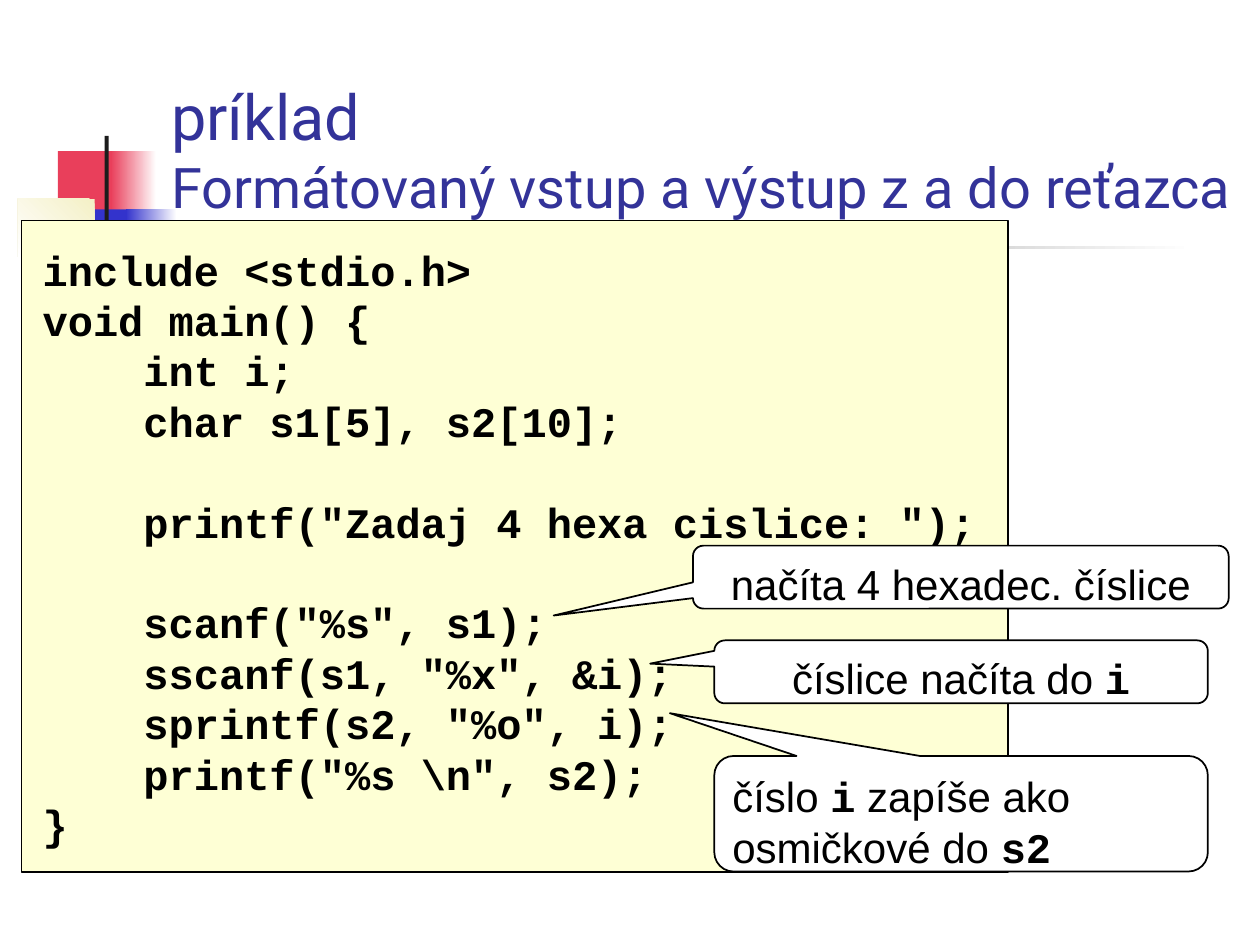
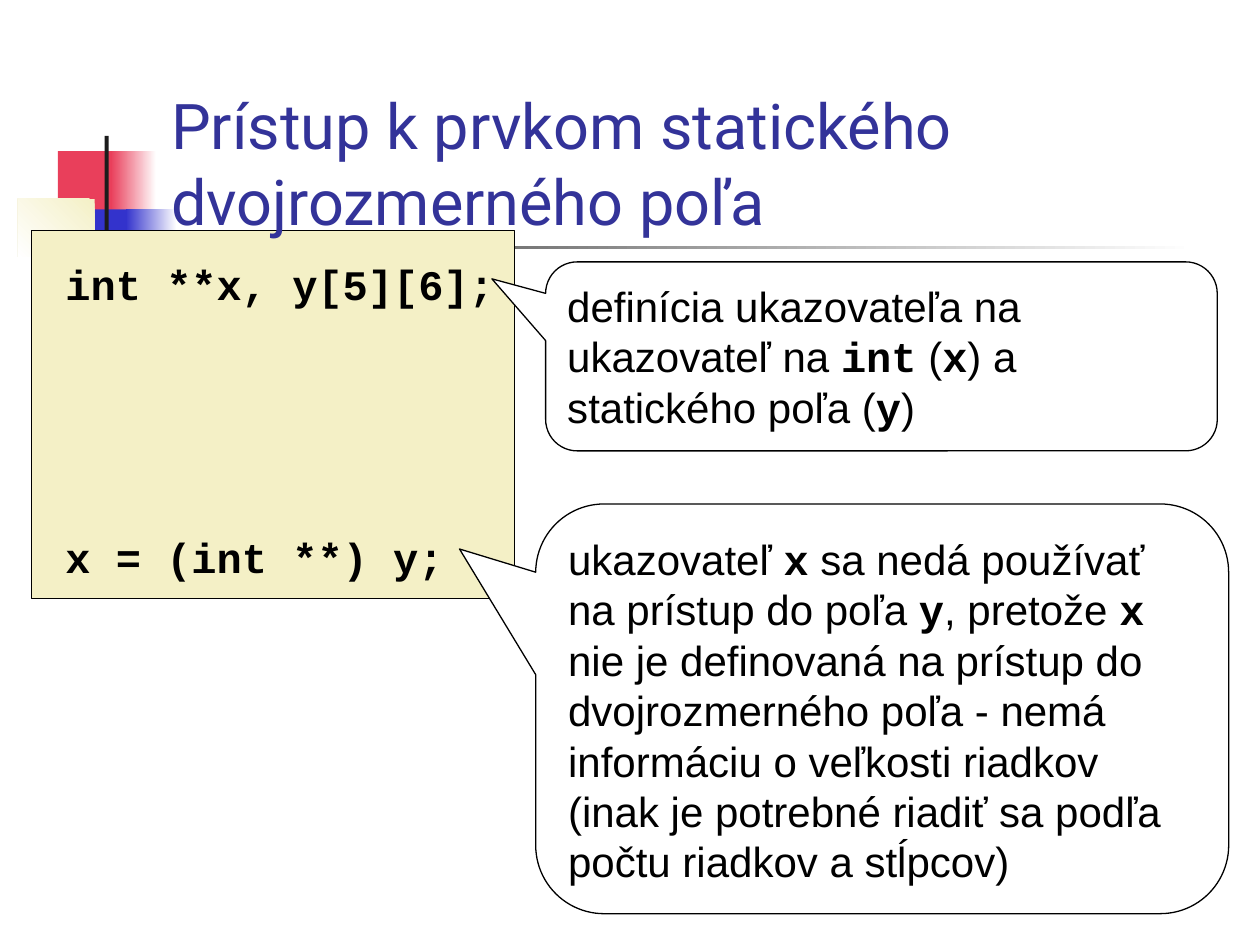
from collections import namedtuple

from pptx import Presentation
from pptx import util as u
from pptx.dml.color import RGBColor
from pptx.enum import shapes, text

Box = namedtuple("Box", "left top width height")

WHITE = RGBColor(0xFF, 0xFF, 0xFF)
BLACK = RGBColor(0x00, 0x00, 0x00)
RED = RGBColor(0xE9, 0x3F, 0x5B)
BLUE = RGBColor(0x33, 0x33, 0xCC)
CREAM = RGBColor(0xF4, 0xF0, 0xC6)
CHARCOAL = RGBColor(0x1C, 0x1C, 0x1C)
TITLE_BLUE = RGBColor(0x33, 0x33, 0x99)
PALE_YELLOW = RGBColor(0xFE, 0xFF, 0xD5)

TITLE_FONT, BODY_FONT, CODE_FONT = "Roboto", "Arial", "Courier New"
BODY_SIZE = 24
LEADING = 1.2  # line pitch as a multiple of the text size

# Master ornament: box, then the gradient from start to end at an angle
ORNAMENT = Box(0.36, 2.74, 23.72, 2.92)
ORNAMENT_PARTS = [
    (Box(0.81, 0.31, 1.22, 1.32), RED, RED, 0),
    (Box(1.88, 0.31, 0.91, 1.32), WHITE, RED, 180),
    (Box(1.14, 1.48, 1.17, 1.32), BLUE, BLUE, 0),
    (Box(2.18, 1.48, 1.02, 1.32), WHITE, BLUE, 180),
    (Box(0, 1.27, 1.55, 1.17), CREAM, WHITE, 225),
    (Box(1.75, 0, 0.08, 2.92), CHARCOAL, CHARCOAL, 0),
    (Box(0.86, 2.21, 22.86, 0.08), WHITE, CHARCOAL, 180),
]


def inside(outer, part):
    """Move a box given relative to outer onto the slide."""
    return Box(outer.left + part.left, outer.top + part.top, part.width, part.height)


def add_shape(slide, kind, box, fill, line_width=0):
    shape = slide.shapes.add_shape(kind, *map(u.Cm, box))
    shape.shadow.inherit = False
    shape.fill.solid()
    shape.fill.fore_color.rgb = fill
    if line_width:
        shape.line.color.rgb = BLACK
        shape.line.width = u.Pt(line_width)
    else:
        shape.line.fill.background()
    return shape


def set_frame(frame, top, bottom=0.13, wrap=True, anchor=text.MSO_ANCHOR.TOP):
    frame.word_wrap = wrap
    frame.vertical_anchor = anchor
    frame.margin_left = frame.margin_right = u.Cm(0.25)
    frame.margin_top, frame.margin_bottom = u.Cm(top), u.Cm(bottom)


def format_run(run, font, size, color=BLACK, bold=False):
    run.font.name = font
    run.font.size = u.Pt(size)
    run.font.color.rgb = color
    run.font.bold = bold


def add_ornament(slide, box):
    for part, start, end, angle in ORNAMENT_PARTS:
        piece = add_shape(slide, shapes.MSO_SHAPE.RECTANGLE, inside(box, part), start)
        if start != end:
            piece.fill.gradient()
            piece.fill.gradient_angle = angle
            for stop, color in zip(piece.fill.gradient_stops, (start, end)):
                stop.color.rgb = color


def add_title(slide, box, lines):
    """Write (wording, size) lines, resting on the bottom of the box."""
    frame = slide.shapes.add_textbox(*map(u.Cm, box)).text_frame
    set_frame(frame, 0.13, 0.08, anchor=text.MSO_ANCHOR.BOTTOM)
    frame.text = "\n".join(wording for wording, _ in lines)
    for paragraph, (_, size) in zip(frame.paragraphs, lines):
        paragraph.line_spacing = u.Pt(LEADING * size)
        format_run(paragraph.runs[0], TITLE_FONT, size, TITLE_BLUE)


def add_code(slide, box, blocks):
    """Write blocks of code lines, one empty line's height apart."""
    frame = slide.shapes.add_textbox(*map(u.Cm, box)).text_frame
    set_frame(frame, 0.27, wrap=False)
    frame.text = "\n".join(blocks)
    pitch = u.Pt(LEADING * BODY_SIZE)
    block_starts = set()
    line_count = 0
    for block in blocks:
        block_starts.add(line_count)
        line_count += len(block.split("\n"))
    for number, paragraph in enumerate(frame.paragraphs):
        paragraph.line_spacing = pitch
        if number and number in block_starts:
            paragraph.space_before = pitch
        format_run(paragraph.runs[0], CODE_FONT, BODY_SIZE, bold=True)


def add_code_panel(slide, box, fill, snippets):
    add_shape(slide, shapes.MSO_SHAPE.RECTANGLE, box, fill, 0.75)
    return [(inside(box, part), blocks) for part, blocks in snippets]


def add_callout(slide, box, tail, wording, line_width, centred=False):
    """Draw a speech bubble; words between backticks are set as code."""
    bubble = add_shape(slide, shapes.MSO_SHAPE.ROUNDED_RECTANGULAR_CALLOUT,
                       box, WHITE, line_width)
    for index, value in enumerate((*tail, 0.167)):
        bubble.adjustments[index] = value
    set_frame(bubble.text_frame, 0.19)
    paragraph = bubble.text_frame.paragraphs[0]
    paragraph.alignment = text.PP_ALIGN.CENTER if centred else text.PP_ALIGN.LEFT
    paragraph.line_spacing = u.Pt(LEADING * BODY_SIZE)
    for index, piece in enumerate(wording.split("`")):
        if piece:
            is_code = index % 2 == 1
            run = paragraph.add_run()
            run.text = piece
            format_run(run, CODE_FONT if is_code else BODY_FONT, BODY_SIZE, bold=is_code)


def new_slide(deck):
    slide = deck.slides.add_slide(deck.slide_layouts[6])
    add_ornament(slide, ORNAMENT)
    return slide


def build_string_io(deck):
    slide = new_slide(deck)
    add_title(slide, Box(3.2, 1.7, 22.2, 2.82),
              [("príklad", 36), ("Formátovaný vstup a výstup z a do reťazca", 32)])
    program = [
        "include <stdio.h>\n"
        "void main() {\n"
        "    int i;\n"
        "    char s1[5], s2[10];",
        '    printf("Zadaj 4 hexa cislice: ");',
        '    scanf("%s", s1);\n'
        '    sscanf(s1, "%x", &i);\n'
        '    sprintf(s2, "%o", i);\n'
        '    printf("%s \\n", s2);\n'
        "}",
    ]
    snippets = add_code_panel(slide, Box(0.43, 4.45, 19.89, 13.13), PALE_YELLOW,
                              [(Box(0.18, 0.2, 19.3, 12.45), program)])
    for box, blocks in snippets:
        add_code(slide, box, blocks)
    add_callout(slide, Box(13.97, 11, 10.8, 1.27), (-0.76, 0.61),
                "načíta 4 hexadec. číslice", 1, centred=True)
    add_callout(slide, Box(14.4, 12.91, 9.95, 1.27), (-0.63, -0.13),
                "číslice načíta do `i`", 1, centred=True)
    add_callout(slide, Box(14.4, 15.24, 9.95, 2.33), (-0.59, -0.87),
                "číslo `i` zapíše ako osmičkové do `s2`", 1)


def build_array_access(deck):
    slide = new_slide(deck)
    snippets = add_code_panel(slide, Box(0.64, 4.65, 9.73, 7.42), CREAM, [
        (Box(0.43, 0.3, 9.14, 1.27), ["int **x, y[5][6];"]),
        (Box(0.43, 5.79, 8.13, 1.27), ["x = (int **) y;"]),
    ])
    add_title(slide, Box(3.2, 1.7, 21.64, 3.18),
              [("Prístup k prvkom statického dvojrozmerného poľa", 36)])
    for box, blocks in snippets:
        add_code(slide, box, blocks)
    add_callout(slide, Box(10.8, 10.16, 13.97, 8.26), (-0.61, -0.39),
                "ukazovateľ `x` sa nedá používať na prístup do poľa `y`, pretože `x` "
                "nie je definovaná na prístup do dvojrozmerného poľa - nemá informáciu "
                "o veľkosti riadkov (inak je potrebné riadiť sa podľa počtu riadkov "
                "a stĺpcov)", 0.75)
    add_callout(slide, Box(11, 5.28, 13.54, 3.81), (-0.58, -0.41),
                "definícia ukazovateľa na ukazovateľ na `int` (`x`) a statického "
                "poľa (`y`)", 0.75)


def main():
    deck = Presentation()
    deck.slide_width, deck.slide_height = u.Cm(25.4), u.Cm(19.05)
    build_string_io(deck)
    build_array_access(deck)
    deck.save("out.pptx")


if __name__ == "__main__":
    main()
